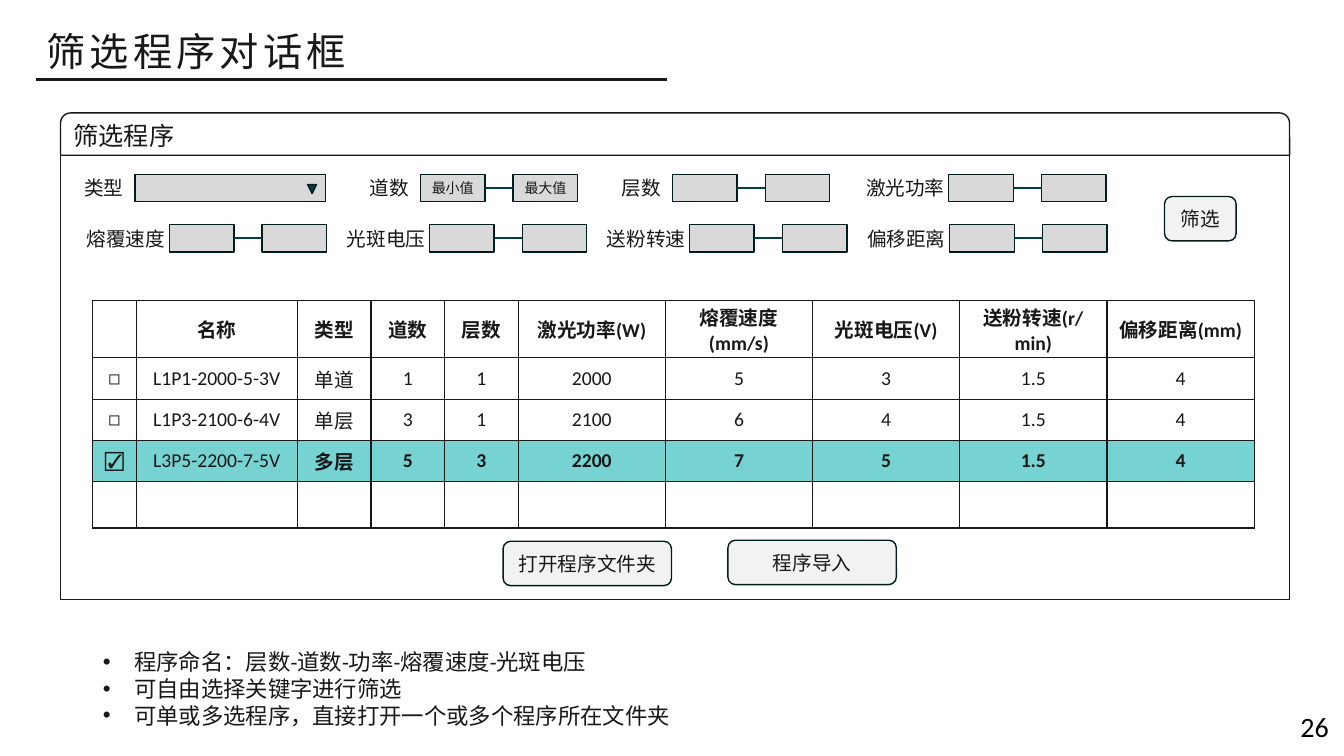
from dataclasses import dataclass

import pptx
import pptx.dml.color
import pptx.enum.shapes
import pptx.enum.text
import pptx.oxml
import pptx.oxml.ns
import pptx.shapes.autoshape
import pptx.shapes.connector
import pptx.shapes.shapetree
import pptx.table
import pptx.text.text
import pptx.util
from pptx.util import Inches

Kind = pptx.enum.shapes.MSO_SHAPE
Align = pptx.enum.text.PP_ALIGN
Anchor = pptx.enum.text.MSO_ANCHOR

FONT = "Calibri"
INK, EDGE, TEAL = "181818", "001C1D", "003F43"
FIELD, BUTTON, WHITE, SELECTED = "D9D9D9", "F2F2F2", "FFFFFF", "77D3D2"
FIELD_HEIGHT, FIELD_WIDTH, FIELD_STEP = 0.27, 0.64, 0.92
FIRST_ROW, SECOND_ROW = 1.73, 2.23
SHORT_LABEL, LONG_LABEL = 0.8, 1.04


@dataclass
class Box:
    left: float
    top: float
    width: float
    height: float

    def lengths(self) -> tuple[int, int, int, int]:
        return (Inches(self.left), Inches(self.top),
                Inches(self.width), Inches(self.height))


@dataclass
class RangeFilter:
    label: str
    left: float
    top: float
    label_width: float
    hints: tuple[str, str] = ("", "")


@dataclass
class Button:
    caption: str
    box: Box


def colour(value: str) -> pptx.dml.color.RGBColor:
    return pptx.dml.color.RGBColor.from_string(value)


def add_text(paragraph: pptx.text.text._Paragraph, text: str, size: float,
             bold: bool = False, ink: str = INK) -> pptx.text.text._Run:
    run = paragraph.add_run()
    run.text = text
    run.font.name, run.font.size, run.font.bold = FONT, pptx.util.Pt(size), bold
    run.font.color.rgb = colour(ink)
    return run


def add_box(shapes: pptx.shapes.shapetree._BaseGroupShapes, box: Box, kind: Kind,
            fill: str | None = None, line: str = EDGE, text: str = "",
            size: float = 14, align: Align = Align.CENTER) -> pptx.shapes.autoshape.Shape:
    shape = shapes.add_shape(kind, *box.lengths())
    shape.shadow.inherit = False
    if fill:
        shape.fill.solid()
        shape.fill.fore_color.rgb = colour(fill)
    else:
        shape.fill.background()
    shape.line.color.rgb = colour(line)
    shape.line.width = pptx.util.Pt(1)
    if text:
        frame = shape.text_frame
        frame.vertical_anchor = Anchor.MIDDLE
        if align == Align.CENTER:
            frame.margin_left = frame.margin_right = Inches(0.05)
        frame.paragraphs[0].alignment = align
        add_text(frame.paragraphs[0], text, size)
    return shape


def add_label(shapes: pptx.shapes.shapetree._BaseGroupShapes, box: Box, text: str) -> None:
    frame = shapes.add_textbox(*box.lengths()).text_frame
    frame.word_wrap = True
    frame.vertical_anchor = Anchor.MIDDLE
    frame.margin_top = frame.margin_bottom = 0
    frame.paragraphs[0].alignment = Align.CENTER
    add_text(frame.paragraphs[0], text, 14)


def add_line(shapes: pptx.shapes.shapetree._BaseGroupShapes, left: float, right: float,
             y: float, ink: str, width: float) -> pptx.shapes.connector.Connector:
    line = shapes.add_connector(pptx.enum.shapes.MSO_CONNECTOR.STRAIGHT,
                                Inches(left), Inches(y), Inches(right), Inches(y))
    line.line.color.rgb = colour(ink)
    line.line.width = pptx.util.Pt(width)
    line._element.spPr.append(pptx.oxml.parse_xml(
        f'<a:effectLst {pptx.oxml.ns.nsdecls("a")}/>'))
    return line


def add_range_filter(shapes: pptx.shapes.shapetree.SlideShapes, item: RangeFilter) -> None:
    group = shapes.add_group_shape().shapes
    add_label(group, Box(item.left, item.top, item.label_width, FIELD_HEIGHT), item.label)
    start = item.left + item.label_width - 0.09
    minimum, maximum = [
        add_box(group, Box(start + i * FIELD_STEP, item.top, FIELD_WIDTH, FIELD_HEIGHT),
                Kind.RECTANGLE, FIELD, text=hint, size=10)
        for i, hint in enumerate(item.hints)]
    dash = add_line(group, start + FIELD_WIDTH, start + FIELD_STEP,
                    item.top + FIELD_HEIGHT / 2, TEAL, 1.5)
    dash.begin_connect(minimum, 3)
    dash.end_connect(maximum, 1)


def style_cell(cell: pptx.table._Cell, text: str, fill: str, bold: bool) -> None:
    cell.vertical_anchor = Anchor.MIDDLE
    cell.margin_top = cell.margin_bottom = Inches(0.02)
    cell.text_frame.paragraphs[0].alignment = Align.CENTER
    if text:
        add_text(cell.text_frame.paragraphs[0], text, 14, bold)
    properties = cell._tc.get_or_add_tcPr()
    for side in ("lnL", "lnR", "lnT", "lnB"):
        properties.append(pptx.oxml.parse_xml(
            f'<a:{side} {pptx.oxml.ns.nsdecls("a")} w="12700"><a:solidFill>'
            f'<a:srgbClr val="{INK}"/></a:solidFill></a:{side}>'))
    cell.fill.solid()
    cell.fill.fore_color.rgb = colour(fill)


PROGRAMS = [
    ["", "名称", "类型", "道数", "层数", "激光功率(W)", "熔覆速度(mm/s)",
     "光斑电压(V)", "送粉转速(r/min)", "偏移距离(mm)"],
    ["◻", "L1P1-2000-5-3V", "单道", "1", "1", "2000", "5", "3", "1.5", "4"],
    ["◻", "L1P3-2100-6-4V", "单层", "3", "1", "2100", "6", "4", "1.5", "4"],
    ["☑", "L3P5-2200-7-5V", "多层", "5", "3", "2200", "7", "5", "1.5", "4"],
    [""] * 10,
]
COLUMN_WIDTHS = [0.43, 1.6] + [0.73] * 3 + [1.46] * 5
ROW_HEIGHTS = [0.57, 0.41, 0.41, 0.41, 0.46]
FILTERS = [
    RangeFilter("道数", 3.46, FIRST_ROW, SHORT_LABEL, ("最小值", "最大值")),
    RangeFilter("层数", 5.96, FIRST_ROW, SHORT_LABEL),
    RangeFilter("激光功率", 8.46, FIRST_ROW, LONG_LABEL),
] + [RangeFilter(label, 0.73 + 2.58 * i, SECOND_ROW, LONG_LABEL)
     for i, label in enumerate(["熔覆速度", "光斑电压", "送粉转速", "偏移距离"])]
BUTTONS = [
    Button("筛选", Box(11.55, 1.95, 0.71, 0.44)),
    Button("打开程序文件夹", Box(4.99, 5.37, 1.67, 0.44)),
    Button("程序导入", Box(7.22, 5.36, 1.67, 0.44)),
]
NOTES = ["程序命名：层数-道数-功率-熔覆速度-光斑电压", "可自由选择关键字进行筛选",
         "可单或多选程序，直接打开一个或多个程序所在文件夹"]


def main() -> None:
    deck = pptx.Presentation()
    deck.slide_width, deck.slide_height = Inches(13.33), Inches(7.5)
    slide = deck.slides.add_slide(deck.slide_layouts[1])
    shapes = slide.shapes

    # Heading, rule and page number
    heading, remarks = shapes.title, slide.placeholders[1]
    for holder, box in ((heading, Box(0.36, 0.22, 3.25, 0.57)),
                        (remarks, Box(0.92, 6.38, 6.21, 0.91))):
        holder.left, holder.top, holder.width, holder.height = box.lengths()
        holder.text_frame.auto_size = pptx.enum.text.MSO_AUTO_SIZE.NONE
        holder.text_frame.vertical_anchor = Anchor.TOP
    heading.text_frame.word_wrap = False
    heading.text_frame.paragraphs[0].alignment = Align.LEFT
    title_run = add_text(heading.text_frame.paragraphs[0], "筛选程序对话框", 28)
    title_run.font._element.set("spc", "300")
    add_line(shapes, 0.36, 6.62, 0.79, INK, 2.25)
    page_number = shapes.add_textbox(*Box(12.8, 6.99, 0.48, 0.44).lengths()).text_frame
    page_number.word_wrap = True
    add_text(page_number.paragraphs[0], "26", 20, ink="000000")

    # Program table
    table_box = Box(0.92, 2.98, sum(COLUMN_WIDTHS), sum(ROW_HEIGHTS))
    programs = shapes.add_table(len(PROGRAMS), len(COLUMN_WIDTHS), *table_box.lengths()).table
    for column, width in zip(programs.columns, COLUMN_WIDTHS):
        column.width = Inches(width)
    for r, (values, height) in enumerate(zip(PROGRAMS, ROW_HEIGHTS)):
        programs.rows[r].height = Inches(height)
        chosen = values[0] == "☑"
        for c, value in enumerate(values):
            style_cell(programs.cell(r, c), value, SELECTED if chosen else WHITE,
                       r == 0 or chosen and c != 1)

    # Dialog frame
    header = add_box(shapes, Box(0.6, 1.12, 12.19, 0.42), Kind.ROUND_2_SAME_RECTANGLE,
                     line=INK, text="筛选程序", size=18, align=Align.LEFT)
    header.adjustments[0] = 0.24
    add_box(shapes, Box(0.6, 1.54, 12.19, 4.41), Kind.RECTANGLE, line=INK)

    # Type drop-down, range filters and buttons
    dropdown = shapes.add_group_shape().shapes
    add_label(dropdown, Box(0.73, FIRST_ROW, 0.6, FIELD_HEIGHT), "类型")
    add_box(dropdown, Box(1.34, FIRST_ROW, 1.89, FIELD_HEIGHT), Kind.RECTANGLE, FIELD)
    arrow = add_box(dropdown, Box(3.05, 1.83, 0.09, 0.09), Kind.ISOSCELES_TRIANGLE, TEAL)
    arrow.rotation = 180
    for item in FILTERS:
        add_range_filter(shapes, item)
    for button in BUTTONS:
        add_box(shapes, button.box, Kind.ROUNDED_RECTANGLE, BUTTON, text=button.caption)

    # Remarks
    for i, note in enumerate(NOTES):
        frame = remarks.text_frame
        paragraph = frame.add_paragraph() if i else frame.paragraphs[0]
        paragraph.space_before = pptx.util.Pt(0)
        indent = Inches(0.31)
        paragraph._p.get_or_add_pPr().set("marL", str(indent))
        paragraph._p.get_or_add_pPr().set("indent", str(-indent))
        add_text(paragraph, note, 16)

    deck.save("out.pptx")


if __name__ == "__main__":
    main()
